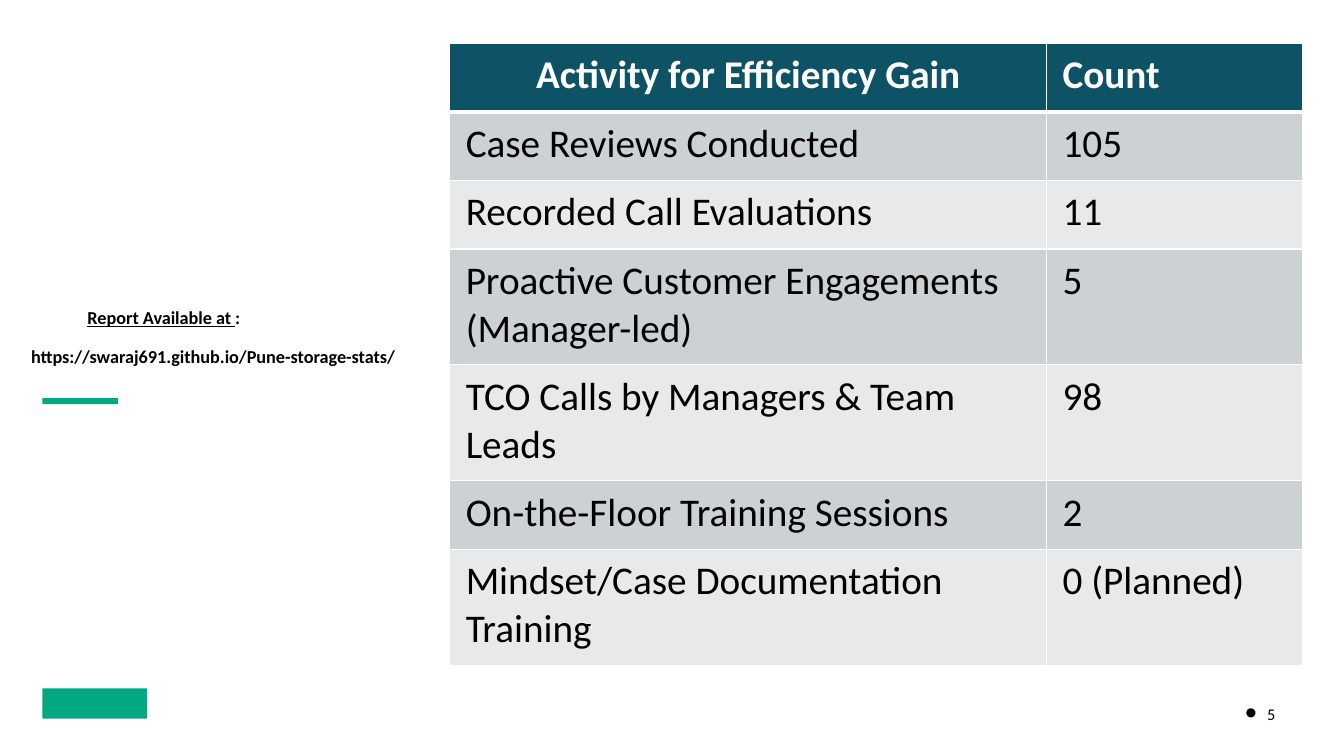
from dataclasses import dataclass

from pptx import Presentation
from pptx import util as u
from pptx.dml.color import RGBColor
from pptx.enum import shapes, text
from pptx.oxml.ns import qn
from lxml import etree

PX = 9144


@dataclass(frozen=True)
class Theme:
    font: str = "Calibri"
    accent: str = "01A982"
    ink: str = "000000"
    paper: str = "FFFFFF"
    header: str = "0D5265"
    bands: tuple = ("CCD1D3", "E7E9EA")
    table_size: int = 28
    note_size: int = 13
    number_size: int = 20


THEME = Theme()

ACTIVITIES = [
    ("Activity for Efficiency Gain", "Count"),
    ("Case Reviews Conducted", "105"),
    ("Recorded Call Evaluations", "11"),
    ("Proactive Customer Engagements (Manager-led)", "5"),
    ("TCO Calls by Managers & Team Leads", "98"),
    ("On-the-Floor Training Sessions", "2"),
    ("Mindset/Case Documentation Training", "0 (Planned)"),
]
COLUMN_WIDTHS = (592, 254)
ROW_HEIGHTS = (68, 68, 68, 115, 115, 68, 115)


def px(*lengths):
    return [u.Emu(length * PX) for length in lengths]


def add_run(paragraph, words, size, color=THEME.ink, bold=False, underline=False):
    run = paragraph.add_run()
    run.text = words
    font = run.font
    font.name = THEME.font
    font.size = u.Pt(size)
    font.color.rgb = RGBColor.from_string(color)
    font.bold = bold
    font.underline = underline
    return run


def add_bar(slide, *box):
    bar = slide.shapes.add_shape(shapes.MSO_SHAPE.RECTANGLE, *px(*box))
    bar.shadow.inherit = False
    bar.fill.solid()
    bar.fill.fore_color.rgb = RGBColor.from_string(THEME.accent)
    bar.line.fill.background()


def add_text_frame(slide, box, anchor):
    frame = slide.shapes.add_textbox(*px(*box)).text_frame
    frame.word_wrap = True
    frame.vertical_anchor = anchor
    return frame


def add_report_note(slide):
    frame = add_text_frame(slide, (21, 280, 390, 95), text.MSO_ANCHOR.BOTTOM)
    frame.margin_top, frame.margin_bottom = px(10, 10)
    label = frame.paragraphs[0]
    label._p.get_or_add_pPr().set("marL", str(56 * PX))
    add_run(label, "Report Available at ", THEME.note_size, bold=True, underline=True)
    add_run(label, ":", THEME.note_size, bold=True)
    address = frame.add_paragraph()
    address.space_before = u.Pt(14)
    add_run(address, "https://swaraj691.github.io/Pune-storage-stats/",
            THEME.note_size, bold=True)
    for paragraph in frame.paragraphs:
        paragraph.line_spacing = 0.9


def add_page_number(slide, number):
    frame = add_text_frame(slide, (1225, 689, 75, 40), text.MSO_ANCHOR.MIDDLE)
    paragraph = frame.paragraphs[0]
    properties = paragraph._p.get_or_add_pPr()
    properties.set("marL", str(22 * PX))
    properties.set("indent", str(-22 * PX))
    etree.SubElement(properties, qn("a:buSzPct")).set("val", "120000")
    etree.SubElement(properties, qn("a:buFont")).set("typeface", "Arial")
    etree.SubElement(properties, qn("a:buChar")).set("char", "•")
    paragraph.line_spacing = 0.9
    paragraph.space_after = u.Pt(6)
    run = add_run(paragraph, number, THEME.number_size)
    run._r.get_or_add_rPr().set("baseline", "10000")


def set_borders(cell, **widths):
    properties = cell._tc.get_or_add_tcPr()
    for side in "LRTB":
        line = etree.SubElement(properties, qn(f"a:ln{side}"))
        line.set("w", str(u.Pt(widths.get(side, 1))))
        fill = etree.SubElement(line, qn("a:solidFill"))
        etree.SubElement(fill, qn("a:srgbClr")).set("val", THEME.paper)


def fill_cell(cell, words, row, column):
    is_header = row == 0
    cell.margin_left, cell.margin_right, cell.margin_top, cell.margin_bottom = px(16, 16, 8, 8)
    set_borders(cell, **({"B": 3} if is_header else {"T": 3} if row == 1 else {}))
    cell.fill.solid()
    background = THEME.header if is_header else THEME.bands[(row - 1) % 2]
    cell.fill.fore_color.rgb = RGBColor.from_string(background)
    paragraph = cell.text_frame.paragraphs[0]
    if is_header and column == 0:
        paragraph.alignment = text.PP_ALIGN.CENTER
    add_run(paragraph, words, THEME.table_size,
            THEME.paper if is_header else THEME.ink, bold=is_header)


def add_activity_table(slide):
    box = px(446, 43, sum(COLUMN_WIDTHS), sum(ROW_HEIGHTS))
    table = slide.shapes.add_table(len(ACTIVITIES), len(COLUMN_WIDTHS), *box).table
    for column, width in zip(table.columns, px(*COLUMN_WIDTHS)):
        column.width = width
    for row, height in zip(table.rows, px(*ROW_HEIGHTS)):
        row.height = height
    for row, activity in enumerate(ACTIVITIES):
        for column, words in enumerate(activity):
            fill_cell(table.cell(row, column), words, row, column)


def main():
    presentation = Presentation()
    presentation.slide_width, presentation.slide_height = px(1333, 750)
    slide = presentation.slides.add_slide(presentation.slide_layouts[6])
    add_bar(slide, 42, 683, 104, 30)
    add_bar(slide, 42, 395, 75, 6)
    add_report_note(slide)
    add_page_number(slide, "5")
    add_activity_table(slide)
    presentation.save("out.pptx")


if __name__ == "__main__":
    main()
